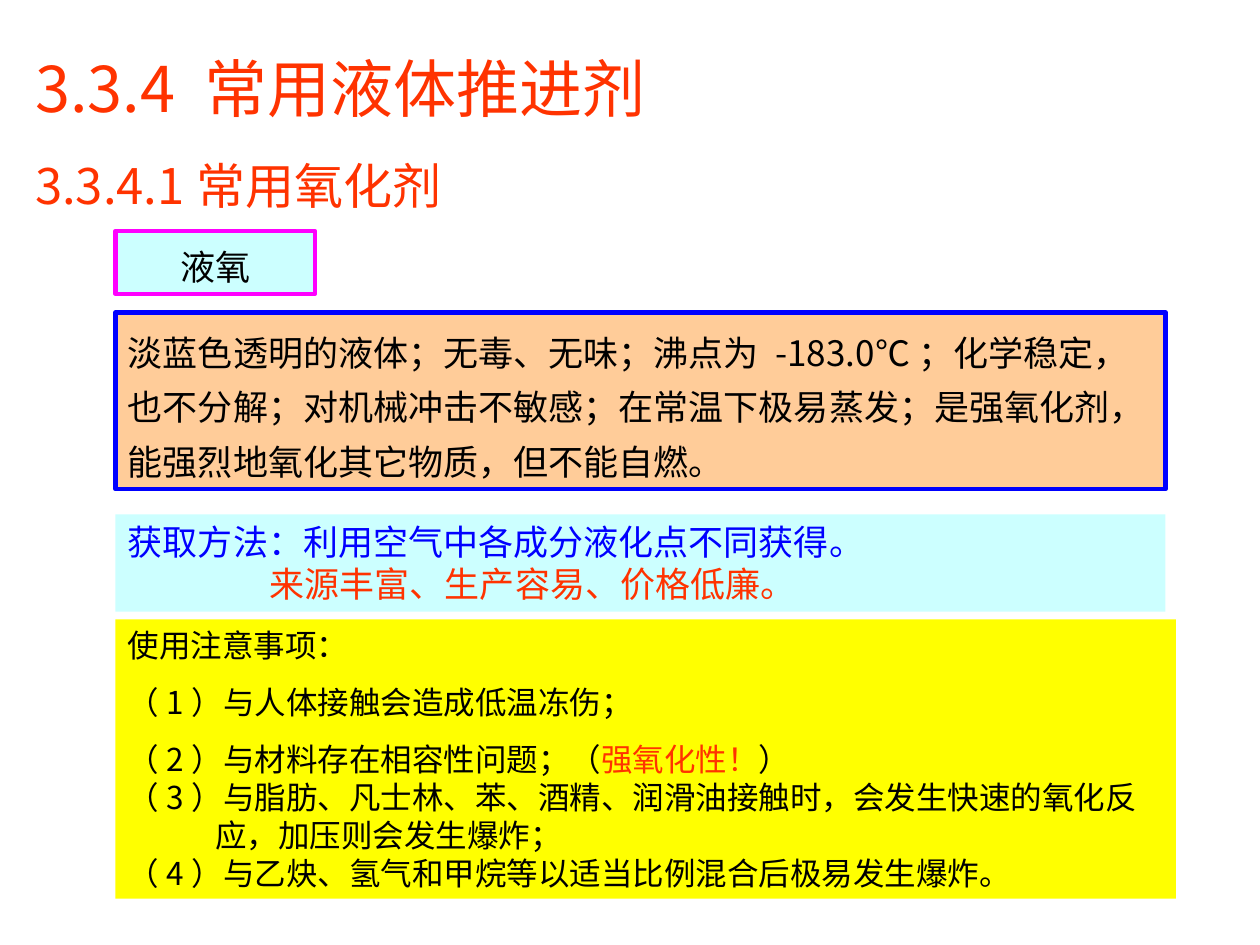
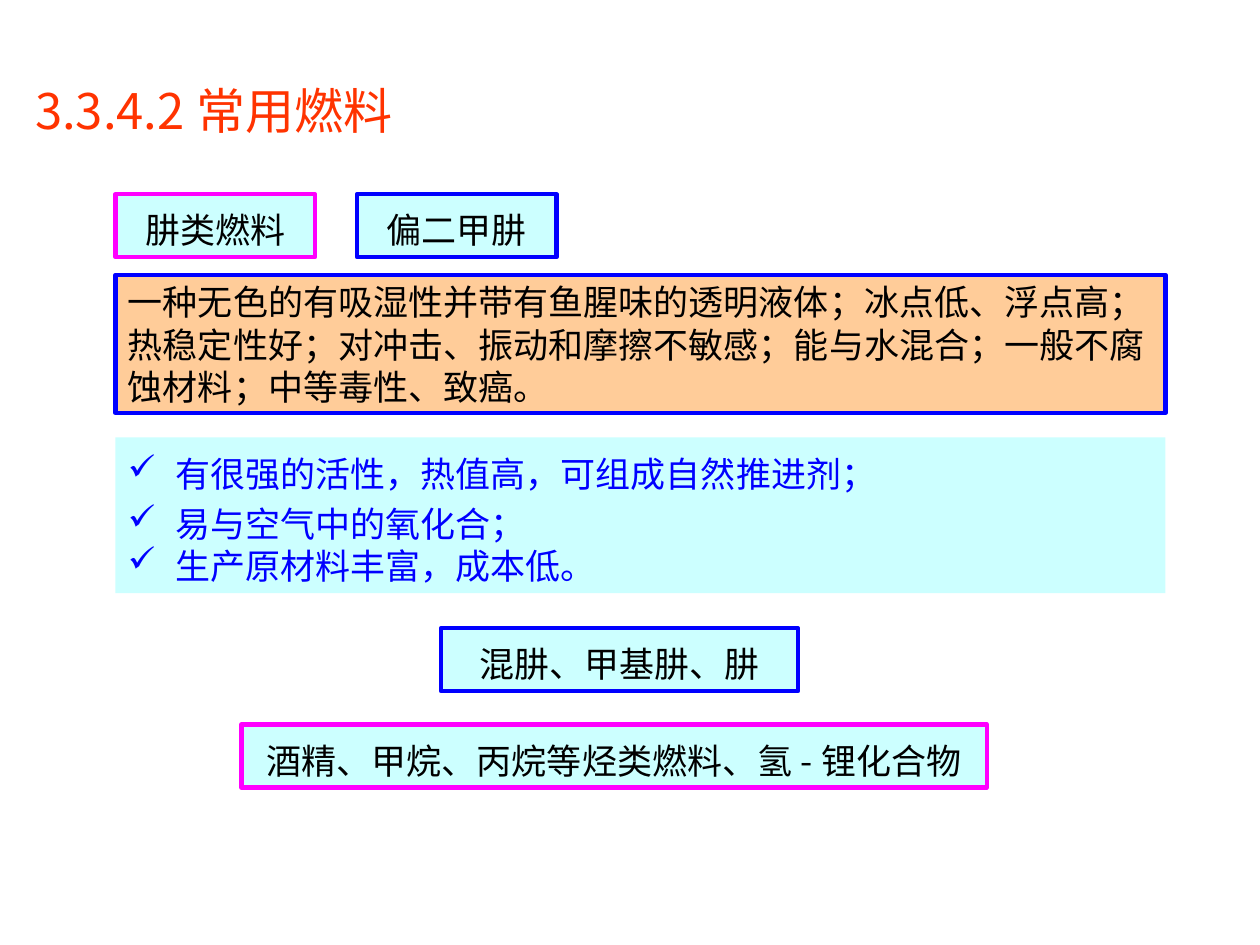
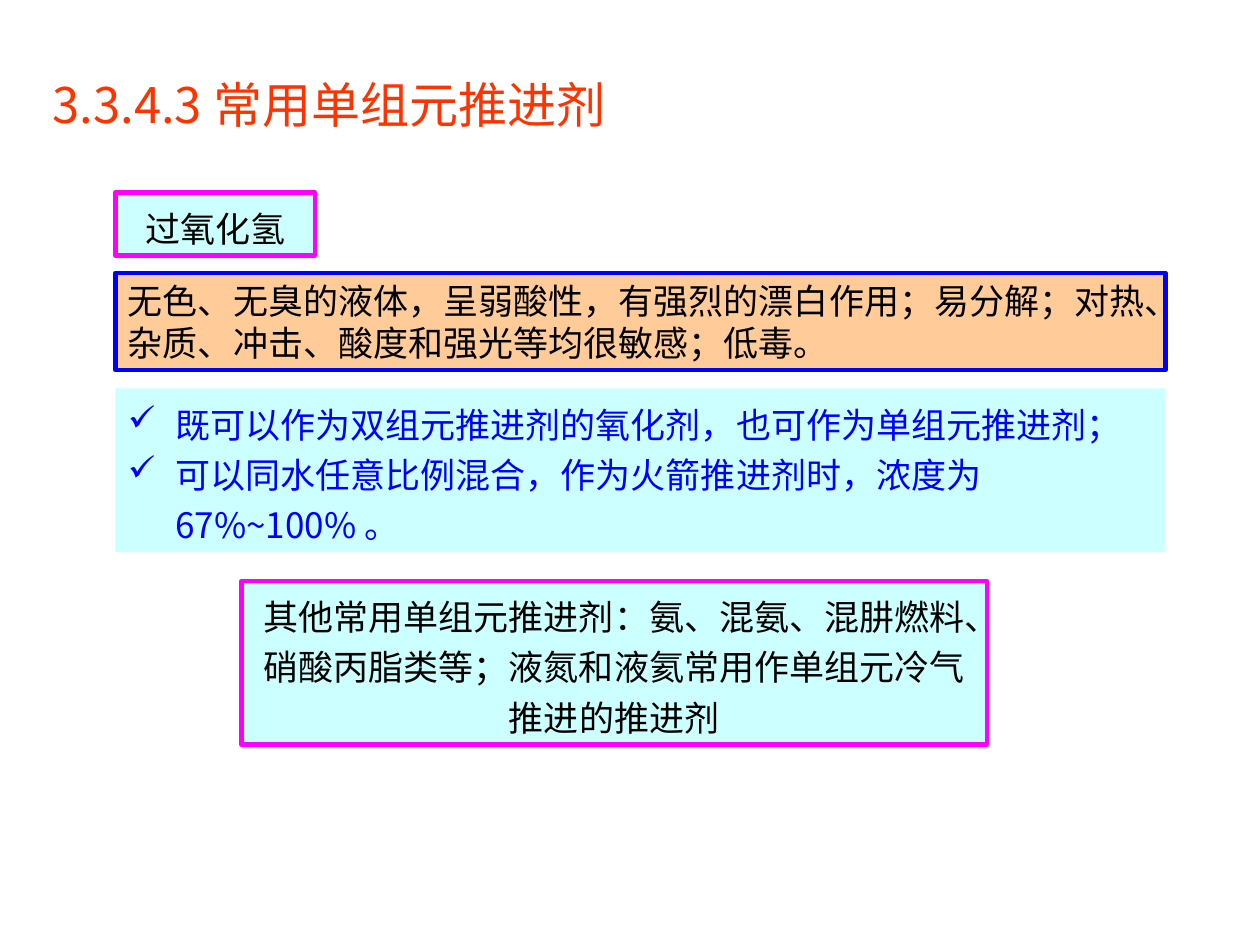
from dataclasses import dataclass, replace

from lxml import etree
from pptx import Presentation
from pptx.dml.color import RGBColor
from pptx.enum.shapes import MSO_SHAPE
from pptx.enum.text import MSO_ANCHOR, MSO_AUTO_SIZE, PP_ALIGN
from pptx.oxml.ns import qn
from pptx.util import Pt

RECT = MSO_SHAPE.RECTANGLE
TOP = MSO_ANCHOR.TOP
GROW = MSO_AUTO_SIZE.SHAPE_TO_FIT_TEXT
LEFT, CENTER = PP_ALIGN.LEFT, PP_ALIGN.CENTER

BLACK = RGBColor(0x00, 0x00, 0x00)
RED = RGBColor(0xFF, 0x33, 0x00)
BLUE = RGBColor(0x00, 0x00, 0xFF)
PINK = RGBColor(0xFF, 0x00, 0xFF)
CYAN = RGBColor(0xCC, 0xFF, 0xFF)
PEACH = RGBColor(0xFF, 0xCC, 0x99)
YELLOW = RGBColor(0xFF, 0xFF, 0x00)

FONT = "Noto Sans CJK SC"
EDGE = 66
WIDE = 600
FRAME = dict(word_wrap=True, auto_size=GROW, vertical_anchor=TOP,
             margin_left=Pt(7.2), margin_right=Pt(7.2),
             margin_top=Pt(3.6), margin_bottom=Pt(3.6))


@dataclass(frozen=True)
class Look:
    size: float = 20
    color: RGBColor = BLACK
    fill: RGBColor | None = None
    line: RGBColor | None = None
    align: PP_ALIGN = LEFT
    space: float = 1.0


@dataclass(frozen=True)
class Run:
    text: str
    color: RGBColor | None = None


@dataclass(frozen=True)
class Para:
    """A paragraph; space of None takes the spacing of the box."""
    runs: tuple[Run, ...]
    left: float = 0
    hang: float = 0
    before: float = 0
    space: float | None = None
    mark: str = ""


@dataclass(frozen=True)
class Box:
    look: Look
    left: float
    top: float
    width: float
    height: float
    paras: tuple[Para, ...]


TITLE = Look(size=36, color=RED, space=1.2)
HEAD = Look(size=28, color=RED, space=1.3)
LABEL = Look(fill=CYAN, line=PINK, align=CENTER, space=1.2)
SUB = replace(LABEL, line=BLUE)
FACTS = Look(fill=PEACH, line=BLUE)
LOOSE = replace(FACTS, space=1.3)
NOTE = Look(color=BLUE, fill=CYAN)
LIST = replace(NOTE, space=1.2)
CARE = Look(size=18, fill=YELLOW)


def plain(text: str) -> tuple[Para, ...]:
    return (Para((Run(text),)),)


def check(text: str, space: float | None = None) -> Para:
    return Para((Run(text),), left=27, hang=27, space=space, mark="✓")


def item(*runs: Run, before: float = 0) -> Para:
    return Para(runs, left=50, hang=50, before=before)


def head(text: str, left: float, top: float) -> Box:
    return Box(HEAD, left, top, 594, 51, plain(text))


def label(text: str, top: float, left: float = EDGE, width: float = 114,
          look: Look = LABEL, height: float = 36) -> Box:
    return Box(look, left, top, width, height, plain(text))


def band(look: Look, top: float, height: float, *paras: Para, width: float = WIDE) -> Box:
    return Box(look, EDGE, top, width, height, paras)


SLIDES = (
    (
        Box(TITLE, 13, 16, 474, 59, plain("3.3.4 常用液体推进剂")),
        head("3.3.4.1常用氧化剂", 13, 75),
        label("液氧", 132),
        band(LOOSE, 178.5, 101, *plain(
            "淡蓝色透明的液体；无毒、无味；沸点为 -183.0℃；化学稳定，也不分解；"
            "对机械冲击不敏感；在常温下极易蒸发；是强氧化剂，"
            "能强烈地氧化其它物质，但不能自燃。")),
        band(NOTE, 294, 55.5,
             *plain("获取方法：利用空气中各成分液化点不同获得。"),
             Para((Run("来源丰富、生产容易、价格低廉。", RED),), left=81)),
        band(CARE, 354, 159.5,
             item(Run("使用注意事项：")),
             item(Run("（1）与人体接触会造成低温冻伤；"), before=11.2),
             item(Run("（2）与材料存在相容性问题；（"), Run("强氧化性！", RED), Run("）"),
                  before=11.2),
             item(Run("（3）与脂肪、凡士林、苯、酒精、润滑油接触时，"
                      "会发生快速的氧化反应，加压则会发生爆炸；")),
             item(Run("（4）与乙炔、氢气和甲烷等以适当比例混合后极易发生爆炸。")),
             width=606),
    ),
    (
        head("3.3.4.2常用燃料", 13, 32.5),
        label("肼类燃料", 111),
        label("偏二甲肼", 111, left=204, look=SUB),
        band(FACTS, 157, 79, *plain(
            "一种无色的有吸湿性并带有鱼腥味的透明液体；冰点低、浮点高；热稳定性好；"
            "对冲击、振动和摩擦不敏感；能与水混合；一般不腐蚀材料；中等毒性、致癌。")),
        band(LIST, 250, 89,
             check("有很强的活性，热值高，可组成自然推进剂；"),
             check("易与空气中的氧化合；"),
             check("生产原材料丰富，成本低。", space=1.0)),
        label("混肼、甲基肼、肼", 359, left=252, width=204, look=SUB),
        label("酒精、甲烷、丙烷等烃类燃料、氢-锂化合物", 414, left=138, width=426),
    ),
    (
        head("3.3.4.3常用单组元推进剂", 23, 29),
        label("过氧化氢", 110),
        band(FACTS, 156, 55.5, *plain(
            "无色、无臭的液体，呈弱酸性，有强烈的漂白作用；易分解；"
            "对热、杂质、冲击、酸度和强光等均很敏感；低毒。")),
        band(LIST, 222, 93.5,
             check("既可以作为双组元推进剂的氧化剂，也可作为单组元推进剂；"),
             check("可以同水任意比例混合，作为火箭推进剂时，浓度为67%~100%。")),
        label("其他常用单组元推进剂：氨、混氨、混肼燃料、硝酸丙脂类等；"
              "液氮和液氦常用作单组元冷气推进的推进剂",
              332, left=138, width=426, height=93.5),
    ),
)


def write(par, para: Para, look: Look) -> None:
    props = par._p.get_or_add_pPr()
    props.set("marL", str(Pt(para.left)))
    props.set("indent", str(-Pt(para.hang)))
    if para.mark:
        tint = etree.SubElement(props, qn("a:buClr"))
        etree.SubElement(tint, qn("a:srgbClr"), val=str(look.color))
        etree.SubElement(props, qn("a:buChar"), char=para.mark)
    form = dict(alignment=look.align, line_spacing=para.space or look.space,
                space_before=Pt(para.before), space_after=Pt(0))
    for key, val in form.items():
        setattr(par, key, val)
    for part in para.runs:
        run = par.add_run()
        run.text = part.text
        for key, val in dict(name=FONT, size=Pt(look.size)).items():
            setattr(run.font, key, val)
        run.font.color.rgb = part.color or look.color
        etree.SubElement(run._r.get_or_add_rPr(), qn("a:ea"), typeface=FONT)


def draw(slide, box: Box) -> None:
    look = box.look
    place = [Pt(n) for n in (box.left, box.top, box.width, box.height)]
    if look.fill is None:
        shape = slide.shapes.add_textbox(*place)
    else:
        shape = slide.shapes.add_shape(RECT, *place)
        shape.shadow.inherit = False
        shape.fill.solid()
        shape.fill.fore_color.rgb = look.fill
        if look.line is None:
            shape.line.fill.background()
        else:
            shape.line.color.rgb = look.line
            shape.line.width = Pt(2.5)
    frame = shape.text_frame
    for key, val in FRAME.items():
        setattr(frame, key, val)
    for num, para in enumerate(box.paras):
        write(frame.add_paragraph() if num else frame.paragraphs[0], para, look)


def main() -> None:
    deck = Presentation()
    deck.slide_width, deck.slide_height = Pt(720), Pt(540)
    blank = deck.slide_layouts[6]
    for boxes in SLIDES:
        slide = deck.slides.add_slide(blank)
        for box in boxes:
            draw(slide, box)
    deck.save("out.pptx")


if __name__ == "__main__":
    main()
